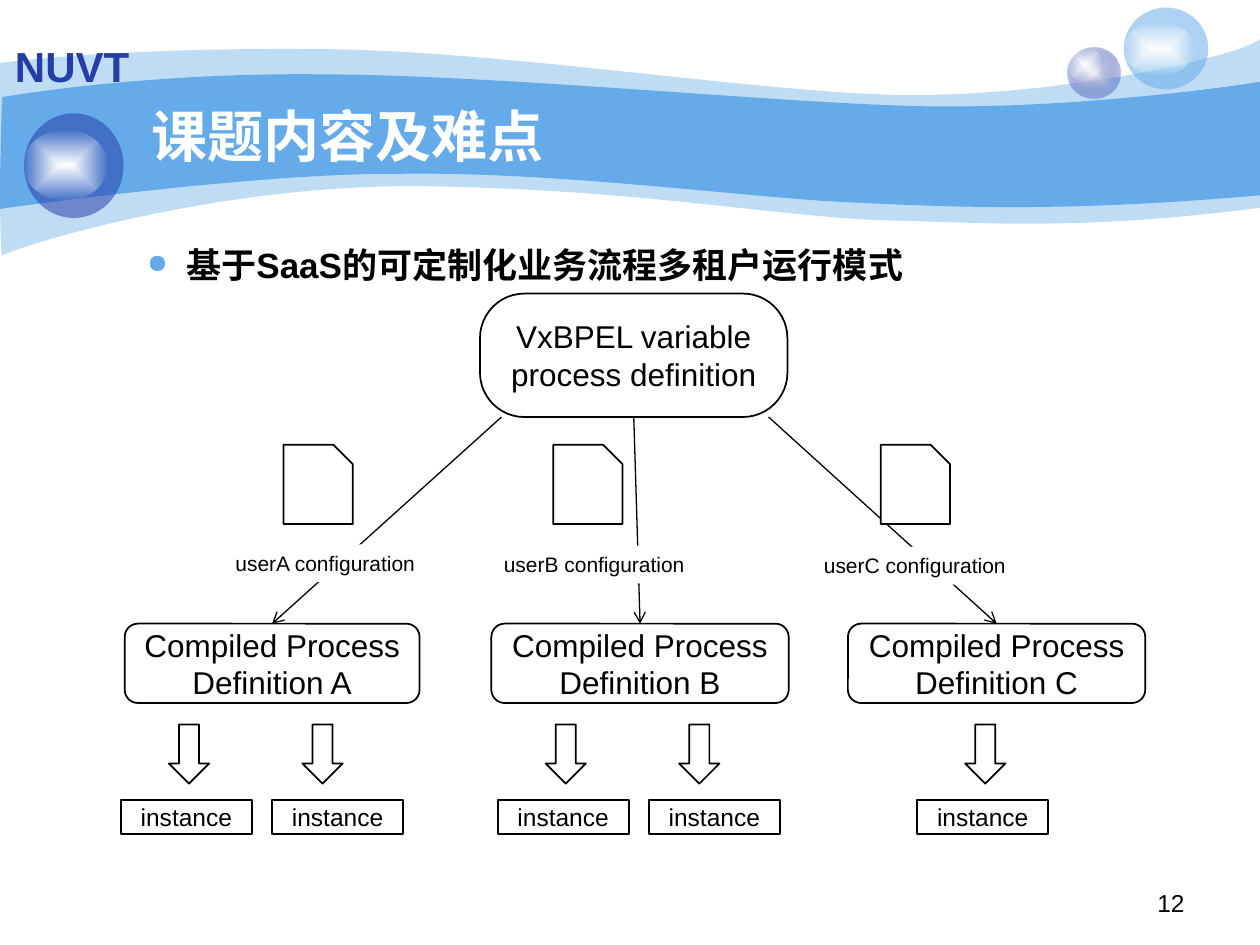
from lxml import etree
from pptx import Presentation
from pptx.dml.color import RGBColor
from pptx.enum.shapes import MSO_CONNECTOR, MSO_SHAPE
from pptx.enum.text import MSO_ANCHOR, PP_ALIGN
from pptx.oxml import parse_xml
from pptx.oxml.ns import nsdecls, qn
from pptx.util import Inches, Pt

BLACK = RGBColor(0x00, 0x00, 0x00)
WHITE = RGBColor(0xFF, 0xFF, 0xFF)
SKY = RGBColor(0x65, 0xAA, 0xE9)
NAVY = RGBColor(0x23, 0x3D, 0xA9)
PALE = RGBColor(0xE1, 0xE2, 0xED)
OVAL, RECT = MSO_SHAPE.OVAL, MSO_SHAPE.RECTANGLE
ROUND, SNIP = MSO_SHAPE.ROUNDED_RECTANGLE, MSO_SHAPE.SNIP_1_RECTANGLE
DOWN = MSO_SHAPE.DOWN_ARROW
LEFT, CENTER, RIGHT = PP_ALIGN.LEFT, PP_ALIGN.CENTER, PP_ALIGN.RIGHT
TOP, MIDDLE = MSO_ANCHOR.TOP, MSO_ANCHOR.MIDDLE
FONT = "Arial"

# Content
SCHOOL = "NUVT"
TITLE = "课题内容及难点"
POINT = "基于SaaS的可定制化业务流程多租户运行模式"
ROOT = "VxBPEL variable\nprocess definition"
PAGE = "12"
# user, box left, box width, line start, sheet left, label left, label top,
# first instance left, instance count
USERS = [
    ("A", 0.99, 2.34, 3.98, 2.25, 1.77, 4.32, 0.96, 2),
    ("B", 3.90, 2.36, None, 4.39, 3.90, 4.33, 3.95, 2),
    ("C", 6.73, 2.36, 6.10, 6.99, 6.44, 4.34, 7.28, 1),
]
# Each wave: colour, opacity, start, then curves of three points or one line end
WAVES = [
    (SKY, 41, (0, 0.5), [
        [(0.24, 0.47), (1.08, 0.38), (2.47, 0.39)],
        [(3.86, 0.39), (5.76, 0.7), (6.99, 0.75)],
        [(8.22, 0.8), (9.8, 0.47), (10, 0.31)],
        [(10, 1.65)],
        [(8.58, 1.83), (7.88, 1.77), (7.05, 1.75)],
        [(6.22, 1.73), (5.15, 1.51), (3.44, 1.48)],
        [(1.72, 1.44), (0.04, 1.99), (0.02, 2.03)],
        [(-0.01, 2.08), (0, 0.75), (0, 0.5)]]),
    (SKY, 100, (0.02, 0.77), [
        [(0.03, 0.77), (1.1, 0.58), (2.48, 0.59)],
        [(3.87, 0.59), (5.96, 0.8), (7.18, 0.84)],
        [(8.41, 0.88), (9.76, 0.69), (10, 0.65)],
        [(10, 1.55)],
        [(8.53, 1.68), (7.66, 1.65), (6.82, 1.61)],
        [(5.99, 1.58), (4.47, 1.36), (3.17, 1.38)],
        [(2.03, 1.37), (-0.02, 1.66), (-0.01, 1.66)],
        [(0, 1.66), (0.01, 0.77), (0.02, 0.77)]]),
]
# Each ball: place, place of its shine, inner and outer (colour, opacity)
BALLS = [
    ((8.47, 0.38, 0.42, 0.4), (8.47, 0.38, 0.28, 0.27), (PALE, 100), (NAVY, 31)),
    ((8.92, 0.06, 0.67, 0.65), (8.92, 0.17, 0.56, 0.43), (SKY, 53), (SKY, 53)),
    ((0.19, 0.9, 0.79, 0.83), (0.19, 1.03, 0.66, 0.56), (NAVY, 53), (NAVY, 53)),
]

deck = Presentation()
deck.slide_width, deck.slide_height = Inches(10), Inches(7.5)
slide = deck.slides.add_slide(deck.slide_layouts[5])
shapes = slide.shapes


def write(item, text, size, color=BLACK, bold=False, align=LEFT, anchor=TOP):
    frame = item.text_frame
    frame.word_wrap = True
    frame.vertical_anchor = anchor
    frame.text = text
    for para in frame.paragraphs:
        para.alignment = align
        for run in para.runs:
            font = run.font
            font.name, font.size, font.bold = FONT, Pt(size), bold
            font.color.rgb = color


def note(box, *args, **kwargs):
    item = shapes.add_textbox(*map(Inches, box))
    write(item, *args, **kwargs)
    return item


def paint(item, fill=None, line=None, alpha=100):
    item.shadow.inherit = False
    if fill is None:
        item.fill.background()
    else:
        item.fill.solid()
        item.fill.fore_color.rgb = fill
        if alpha < 100:
            tint = item.element.spPr.find(".//" + qn("a:srgbClr"))
            etree.SubElement(tint, qn("a:alpha"), val=str(alpha * 1000))
    if line is None:
        item.line.fill.background()
    else:
        item.line.color.rgb = line
        item.line.width = Pt(1)


def add(kind, box, fill=None, line=None, alpha=100):
    item = shapes.add_shape(kind, *map(Inches, box))
    paint(item, fill, line, alpha)
    return item


def glow(item, inner, outer):
    """Fill from the centre (inner) to the rim (outer)."""
    stops = "".join(
        f'<a:gs pos="{pos}"><a:srgbClr val="{color}">'
        f'<a:alpha val="{alpha * 1000}"/></a:srgbClr></a:gs>'
        for pos, (color, alpha) in ((0, inner), (100000, outer)))
    old = item.element.spPr.find(qn("a:noFill"))
    old.getparent().replace(old, parse_xml(
        f'<a:gradFill {nsdecls("a")} rotWithShape="1"><a:gsLst>{stops}</a:gsLst>'
        '<a:path path="shape"><a:fillToRect l="50000" t="50000" r="50000" '
        'b="50000"/></a:path></a:gradFill>'))


def wave(start, parts):
    """Outline through all points, with each group of three bent to a curve."""
    pen = shapes.build_freeform(*map(Inches, start))
    pen.add_line_segments([(Inches(x), Inches(y)) for part in parts for x, y in part])
    item = pen.convert_to_shape()
    lines = iter(item.element.spPr.findall(".//" + qn("a:lnTo")))
    for part in parts:
        group = [next(lines) for _ in part]
        if len(group) == 3:
            bend = etree.Element(qn("a:cubicBezTo"))
            group[0].addprevious(bend)
            for line in group:
                bend.append(line[0])
                line.getparent().remove(line)
    return item


# Banner waves, balls and school name
for color, alpha, start, parts in WAVES:
    paint(wave(start, parts), color, alpha=alpha)
for box, shine, inner, outer in BALLS:
    if inner == outer:
        add(OVAL, box, inner[0], alpha=inner[1])
    else:
        glow(add(OVAL, box), inner, outer)
    glow(add(OVAL, shine), (WHITE, 100), (WHITE, 0))
note((0.02, 0.27, 1.18, 0.5), SCHOOL, 24, NAVY, True)

# Title, brought in front of the banner
title = shapes.title
title.element.getparent().append(title.element)
title.left, title.top, title.width, title.height = map(Inches, (1.1, 0.7, 7.42, 0.75))
write(title, TITLE, 32, WHITE, True, anchor=MIDDLE)

# Bullet line
point = note((1.07, 1.72, 8.25, 0.55), POINT, 20, bold=True)
para = point.text_frame.paragraphs[0]
para.line_spacing = 1.5
props = para._p.get_or_add_pPr()
props.set("marL", str(Inches(0.31)))
props.set("indent", str(-Inches(0.31)))
mark = etree.SubElement(props, qn("a:buClr"))
etree.SubElement(mark, qn("a:srgbClr"), val=str(SKY))
etree.SubElement(props, qn("a:buSzPct"), val="75000")
etree.SubElement(props, qn("a:buChar"), char="●")

# Process tree
root = add(ROUND, (3.81, 2.33, 2.44, 0.98), line=BLACK)
root.adjustments[0] = 0.36
write(root, ROOT, 18, align=CENTER, anchor=MIDDLE)
for user, left, width, start, sheet, label, top, first, count in USERS:
    box = add(ROUND, (left, 4.95, width, 0.63), line=BLACK)
    write(box, f"Compiled Process Definition {user}", 18, align=CENTER, anchor=MIDDLE)

    link = shapes.add_connector(MSO_CONNECTOR.STRAIGHT, Inches(start or 5.03),
                                Inches(3.31), Inches(left + width / 2), Inches(4.95))
    if start is None:
        link.begin_connect(root, 2)
    link.end_connect(box, 0)
    link.line.color.rgb, link.line.width = BLACK, Pt(0.75)
    stroke = link.element.spPr.find(qn("a:ln"))
    etree.SubElement(stroke, qn("a:tailEnd"), type="arrow")
    etree.SubElement(link.element.spPr, qn("a:effectLst"))

    page = add(SNIP, (sheet, 3.53, 0.55, 0.63), WHITE, BLACK)
    page.adjustments[0] = 0.28
    write(add(RECT, (label, top, 1.65, 0.3), WHITE), f"user{user} configuration", 12)

    for i in range(count):
        add(DOWN, (first + 0.38 + 1.06 * i, 5.75, 0.32, 0.47), WHITE, BLACK)
        cell = add(RECT, (first + 1.2 * i, 6.35, 1.04, 0.27), WHITE, BLACK)
        write(cell, "instance", 14, align=CENTER, anchor=MIDDLE)

# Page number
note((7.17, 7, 2.33, 0.35), PAGE, 14, align=RIGHT)

deck.save("out.pptx")
